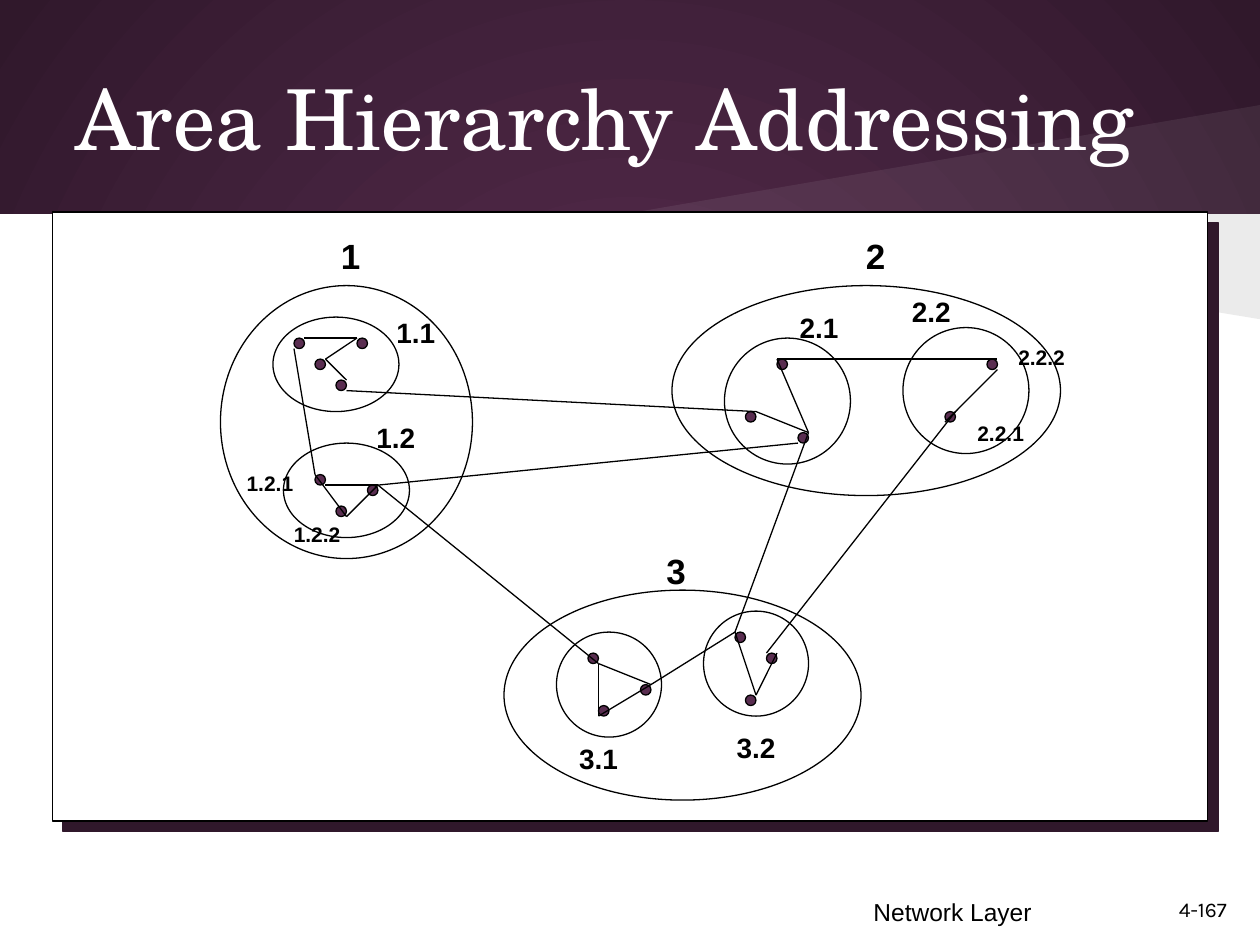
"""Build the Area Hierarchy Addressing slide."""
import itertools

import pptx
import pptx.dml.color
import pptx.enum.shapes
import pptx.enum.text
import pptx.oxml
import pptx.oxml.ns
import pptx.util

PX = 7620
WIDTH, HEIGHT = 1200, 900
COLORS = {"plum": "592D50", "dark": "30182B", "white": "FFFFFF", "black": "000000"}
LINE_POINTS = 0.75
DOT = 10

BODY = (0, 204, 1200, 696)
PANEL = (50, 202, 1100, 580)
WEDGES = [
    ([(594, 204), (1200, 100), (1200, 204)], "white", 7),
    ([(594, 204), (1200, 204), (1200, 304)], "black", 8),
]
AREAS = [(210, 272, 240, 260), (640, 272, 370, 200), (480, 562, 340, 200)]
SUBAREAS = [
    (260, 302, 120, 90), (270, 422, 120, 90),
    (690, 322, 120, 120), (860, 312, 120, 120),
    (530, 602, 100, 100), (670, 582, 100, 100),
]
ROUTERS = [
    (280, 322), (300, 342), (340, 322), (320, 362),
    (350, 462), (300, 452), (320, 482),
    (710, 392), (760, 412), (740, 342),
    (900, 392), (940, 342),
    (560, 622), (610, 652), (570, 672),
    (730, 622), (710, 662), (700, 602),
]
LINKS = [
    [(280, 332), (300, 452)],
    [(290, 322), (340, 322), (310, 342), (330, 362)],
    [(310, 462), (360, 462), (330, 492), (300, 452)],
    [(330, 372), (720, 392), (770, 412)],
    [(360, 462), (760, 422)],
    [(360, 462), (570, 632), (570, 682), (620, 652), (570, 632)],
    [(620, 652), (700, 602), (720, 662), (740, 622)],
    [(700, 602), (770, 412), (740, 342), (950, 342)],
    [(950, 352), (900, 402)],
    [(730, 622), (910, 392)],
]
LABEL_STYLES = {1: (20, 44, 52), 2: (16, 64, 44), 3: (12, 76, 36)}
LABELS = [
    ("1", 334, 217), ("2", 834, 217), ("3", 644, 517),
    ("1.1", 396, 295), ("1.2", 377, 395), ("2.1", 780, 290),
    ("2.2", 887, 275), ("3.1", 570, 700), ("3.2", 720, 690),
    ("2.2.1", 953, 395), ("2.2.2", 992, 322),
    ("1.2.1", 257, 442), ("1.2.2", 302, 491),
]
TEXTS = [
    ("Area Hierarchy Addressing", (60, 36, 1080, 150), "TeX Gyre Schola", 48, "white"),
    ("Network Layer", (820, 848, 380, 37), "Arial", 14, "black"),
    ("4-167", (1111, 848, 89, 36), "Karla", 12, "black"),
]


def rgb(name):
    return pptx.dml.color.RGBColor.from_string(COLORS[name])


def emu(*lengths):
    return [length * PX for length in lengths]


def xml(markup):
    return pptx.oxml.parse_xml(markup.replace(" ", f" {pptx.oxml.ns.nsdecls('a')} ", 1))


def paint(shape, fill, outlined=True):
    shape.shadow.inherit = False
    if fill:
        shape.fill.solid()
        shape.fill.fore_color.rgb = rgb(fill)
    else:
        shape.fill.background()
    if outlined:
        shape.line.color.rgb = rgb("black")
        shape.line.width = pptx.util.Pt(LINE_POINTS)
    else:
        shape.line.fill.background()


def add_preset(page, kind, bounds, fill=None, outlined=True):
    shape = page.shapes.add_shape(kind, *emu(*bounds))
    paint(shape, fill, outlined)
    return shape


def add_wedge(page, points, color, opacity):
    builder = page.shapes.build_freeform(*points[0], scale=PX)
    builder.add_line_segments(points[1:], close=True)
    wedge = builder.convert_to_shape()
    paint(wedge, color, outlined=False)
    tint = wedge.element.spPr.find(".//" + pptx.oxml.ns.qn("a:srgbClr"))
    tint.append(xml(f'<a:alpha val="{opacity * 1000}"/>'))


def add_link(page, start, end):
    straight = pptx.enum.shapes.MSO_CONNECTOR.STRAIGHT
    link = page.shapes.add_connector(straight, *emu(*start, *end))
    link.line.color.rgb = rgb("black")
    link.line.width = pptx.util.Pt(LINE_POINTS)
    link.element.spPr.append(xml("<a:effectLst />"))


def add_text(page, text, bounds, font, size, color, label=False):
    box = page.shapes.add_textbox(*emu(*bounds))
    frame = box.text_frame
    frame.word_wrap = not label
    para = frame.paragraphs[0]
    para.text = text
    para.font.name = font
    para.font.size = pptx.util.Pt(size)
    para.font.bold = label
    para.font.color.rgb = rgb(color)
    if label:
        frame.auto_size = pptx.enum.text.MSO_AUTO_SIZE.SHAPE_TO_FIT_TEXT
        para.alignment = pptx.enum.text.PP_ALIGN.CENTER
    return box


def set_background(page):
    fill = page.background.fill
    fill.gradient()
    for stop, position, color in zip(fill.gradient_stops, (0, 1), ("plum", "dark")):
        stop.position = position
        stop.color.rgb = rgb(color)
    direction = page.element.find(".//" + pptx.oxml.ns.qn("a:lin"))
    direction.getparent().replace(direction, xml(
        '<a:path path="circle"><a:fillToRect l="50000" t="50000" r="50000" b="50000"/></a:path>'))


def add_panel(page):
    panel = add_preset(page, pptx.enum.shapes.MSO_SHAPE.RECTANGLE, PANEL, "white")
    effects = panel.element.spPr.find(pptx.oxml.ns.qn("a:effectLst"))
    effects.append(xml(
        '<a:outerShdw dist="107950" dir="2700000" algn="ctr" rotWithShape="0">'
        f'<a:srgbClr val="{COLORS["dark"]}"/></a:outerShdw>'))


def main():
    deck = pptx.Presentation()
    deck.slide_width, deck.slide_height = emu(WIDTH, HEIGHT)
    page = deck.slides.add_slide(deck.slide_layouts[6])
    oval = pptx.enum.shapes.MSO_SHAPE.OVAL

    set_background(page)
    add_preset(page, pptx.enum.shapes.MSO_SHAPE.RECTANGLE, BODY, "white", outlined=False)
    for wedge in WEDGES:
        add_wedge(page, *wedge)
    boxes = [add_text(page, *text) for text in TEXTS]
    boxes[0].text_frame.vertical_anchor = pptx.enum.text.MSO_ANCHOR.MIDDLE

    add_panel(page)
    for bounds in AREAS:
        add_preset(page, oval, bounds, "white")
    for bounds in SUBAREAS:
        add_preset(page, oval, bounds)
    for left, top in ROUTERS:
        add_preset(page, oval, (left, top, DOT, DOT), "plum")
    for route in LINKS:
        for start, end in itertools.pairwise(route):
            add_link(page, start, end)
    for text, center, top in LABELS:
        size, width, height = LABEL_STYLES[len(text.split("."))]
        bounds = (center - width // 2, top, width, height)
        add_text(page, text, bounds, "Arial", size, "black", label=True)

    deck.save("out.pptx")


if __name__ == "__main__":
    main()
